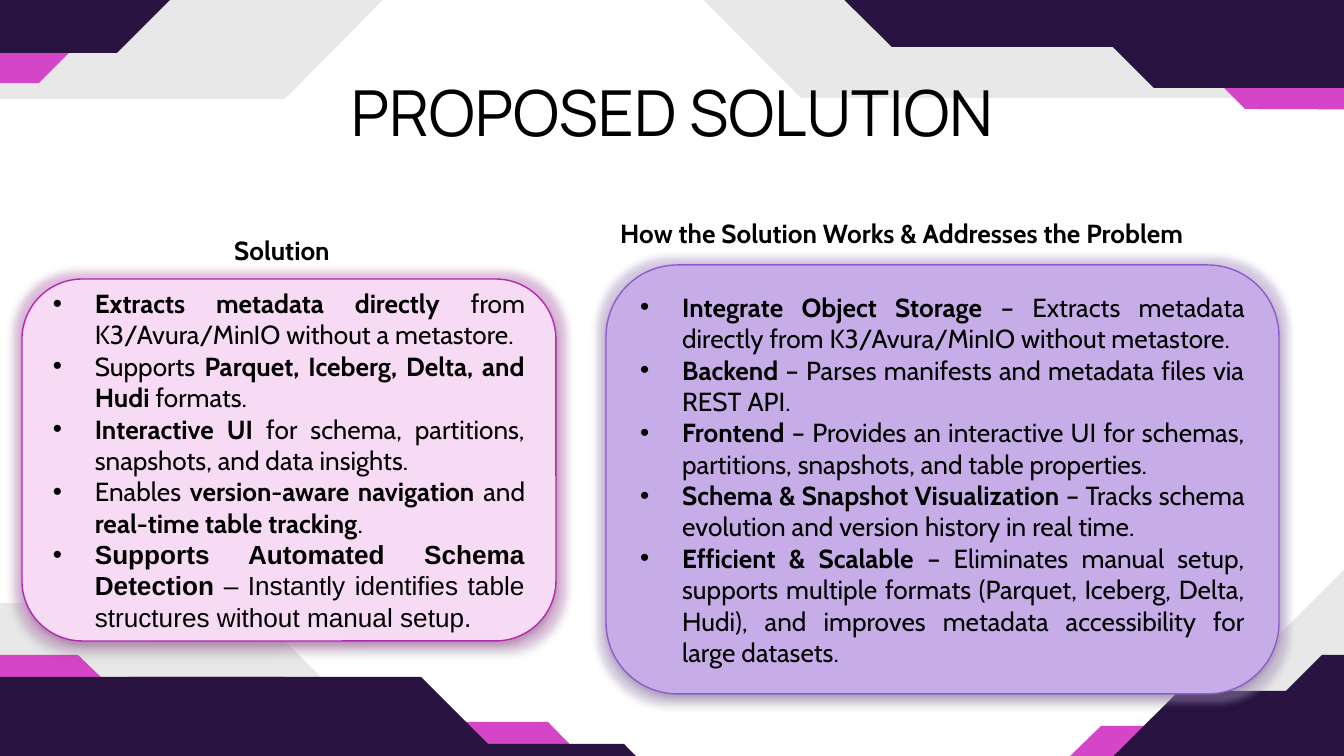
from lxml import etree
from pptx import Presentation
from pptx.dml.color import RGBColor
from pptx.enum.shapes import MSO_SHAPE
from pptx.enum.text import MSO_ANCHOR, MSO_AUTO_SIZE, PP_ALIGN
from pptx.oxml.ns import qn
from pptx.util import Emu, Pt

ROUND = MSO_SHAPE.ROUNDED_RECTANGLE
MIDDLE = MSO_ANCHOR.MIDDLE
NO_FIT = MSO_AUTO_SIZE.NONE
CENTER, JUSTIFY, LEFT = PP_ALIGN.CENTER, PP_ALIGN.JUSTIFY, PP_ALIGN.LEFT
PX = 914400 / 134.4

BLACK, PINK, NAVY = "000000", "D545C7", "281341"

DECOR = [
    (BLACK, 9, [
        [(1169, 991), (1440, 991), (1441, 473), (1169, 745)],
        [(0, 603), (0, 872), (517, 874), (247, 603)],
        [(285, 99), (433, -51), (653, -51), (801, 98), (1344, 98),
         (1344, -181), (-1, -181), (-1, 99)],
    ]),
    (PINK, 100, [
        [(379, 722), (418, 761), (587, 762), (548, 722)],
        [(1245, 726), (1212, 758), (1068, 758), (1101, 726)],
        [(-43, 655), (-16, 681), (105, 681), (78, 655)],
        [(1486, 110), (1245, 109), (1219, 83), (1486, 85)],
        [(78, 44), (39, 83), (-130, 83), (-91, 44)],
    ]),
    (NAVY, 100, [
        [(1322, 655), (1172, 805), (1128, 805), (1128, 880), (1540, 880), (1540, 655)],
        [(1179, 691), (1028, 841), (985, 841), (985, 917), (1396, 917), (1396, 691)],
        [(-7, 677), (-7, 982), (653, 982), (653, 879), (622, 879), (488, 744),
         (352, 744), (285, 677)],
        [(129, 677), (129, 982), (790, 982), (790, 879), (758, 879), (624, 744),
         (488, 744), (421, 677)],
        [(117, 53), (267, -97), (310, -97), (310, -172), (-101, -172), (-101, 53)],
        [(1469, 88), (1469, -355), (718, -355), (718, -31), (813, -31), (892, 47),
         (1113, 47), (1154, 88)],
    ]),
]

TITLE = "PROPOSED SOLUTION"
HEADINGS = [
    ("Solution", (221, 228, 142, 46)),
    ("How the Solution Works & Addresses the Problem", (607, 211, 834, 46)),
]

# (text, bold[, font]) runs make up each bullet
SOLUTION = [
    [("Extracts metadata directly", True),
     (" from K3/Avura/MinIO without a metastore.", False)],
    [("Supports ", False), ("Parquet, Iceberg, Delta, and Hudi", True),
     (" formats.", False)],
    [("Interactive UI", True),
     (" for schema, partitions, snapshots, and data insights.", False)],
    [("Enables ", False), ("version-aware navigation", True), (" and ", False),
     ("real-time table tracking", True), (".", False)],
    [("Supports Automated Schema Detection", True, "Arial"),
     (" – Instantly identifies table structures without manual setup.", False, "Arial")],
]
WORKINGS = [
    [("Integrate Object Storage ", True),
     ("– Extracts metadata directly from K3/Avura/MinIO without metastore.", False)],
    [("Backend", True),
     (" – Parses manifests and metadata files via REST API.", False)],
    [("Frontend", True),
     (" – Provides an interactive UI for schemas, partitions, snapshots, "
      "and table properties.", False)],
    [("Schema & Snapshot Visualization", True),
     (" – Tracks schema evolution and version history in real time.", False)],
    [("Efficient & Scalable", True),
     (" – Eliminates manual setup, supports multiple formats (Parquet, Iceberg, "
      "Delta, Hudi), and improves metadata accessibility for large datasets.", False)],
]
PANELS = [
    ((22, 279, 534, 362), "F7DAF4", "B427B2", "E08FDA", SOLUTION),
    ((606, 265, 673, 429), "C7ADE7", "8F5ACF", "C7ADE7", WORKINGS),
]


def px(n):
    return Emu(round(n * PX))


def rgb(value):
    return RGBColor.from_string(value)


def child(parent, tag, **attrs):
    return etree.SubElement(parent, qn(tag), {k: str(v) for k, v in attrs.items()})


def add_run(p, text, size=14, font="Cabin", color=BLACK, bold=False):
    r = p.add_run()
    r.text = text
    r.font.size, r.font.name, r.font.bold = Pt(size), font, bold
    r.font.color.rgb = rgb(color)


def add_bullet(p):
    pPr = p._p.get_or_add_pPr()
    pPr.set("marL", str(px(42)))
    pPr.set("indent", str(-px(42)))
    child(child(pPr, "a:buClr"), "a:srgbClr", val=BLACK)
    child(pPr, "a:buFont", typeface="Arial")
    child(pPr, "a:buChar", char="•")


def add_effects(sp, color):
    effects = child(sp._element.spPr, "a:effectLst")
    glow = child(effects, "a:glow", rad=Pt(8))
    shadow = child(effects, "a:outerShdw", blurRad=Pt(3.1), dist=Pt(1.6),
                   dir=5400000, rotWithShape=0)
    for effect, value, alpha in ((glow, color, 40), (shadow, BLACK, 38)):
        child(child(effect, "a:srgbClr", val=value), "a:alpha", val=alpha * 1000)


def add_polygon(s, points, color, alpha):
    fb = s.shapes.build_freeform(*points[0], scale=PX)
    fb.add_line_segments(points[1:], close=True)
    sp = fb.convert_to_shape()
    sp.shadow.inherit = False
    sp.fill.solid()
    sp.fill.fore_color.rgb = rgb(color)
    sp.line.fill.background()
    if alpha < 100:
        clr = sp._element.spPr.find(qn("a:solidFill")).find(qn("a:srgbClr"))
        child(clr, "a:alpha", val=alpha * 1000)


def add_panel(s, box, fill, line, glow, bullets):
    sp = s.shapes.add_shape(ROUND, *map(px, box))
    sp.fill.solid()
    sp.fill.fore_color.rgb = rgb(fill)
    sp.line.color.rgb = rgb(line)
    sp.line.width = Pt(0.75)
    add_effects(sp, glow)
    tf = sp.text_frame
    tf.word_wrap, tf.vertical_anchor = True, MIDDLE
    for i, runs in enumerate(bullets):
        p = tf.add_paragraph() if i else tf.paragraphs[0]
        add_bullet(p)
        p.alignment = JUSTIFY
        for text, bold, *font in runs:
            add_run(p, text, bold=bold, font=font[0] if font else "Cabin")


def place_title(s):
    sp = s.shapes.title
    sp.left, sp.top, sp.width, sp.height = map(px, (306, 0, 732, 222))
    s.shapes._spTree.append(sp._element)
    tf = sp.text_frame
    tf.auto_size, tf.vertical_anchor = NO_FIT, MIDDLE
    tf.margin_left = tf.margin_right = tf.margin_top = tf.margin_bottom = px(13)
    p = tf.paragraphs[0]
    p.alignment = CENTER
    add_run(p, TITLE, size=34, font="Manrope")


def add_heading(s, text, box):
    tf = s.shapes.add_textbox(*map(px, box)).text_frame
    tf.word_wrap = True
    p = tf.paragraphs[0]
    p.alignment = LEFT
    add_run(p, text, bold=True)


def main():
    prs = Presentation()
    prs.slide_width, prs.slide_height = px(1344), px(756)
    s = prs.slides.add_slide(prs.slide_layouts[5])
    for color, alpha, polygons in DECOR:
        for points in polygons:
            add_polygon(s, points, color, alpha)
    place_title(s)
    for panel in PANELS:
        add_panel(s, *panel)
    for text, box in HEADINGS:
        add_heading(s, text, box)
    prs.save("out.pptx")


if __name__ == "__main__":
    main()
